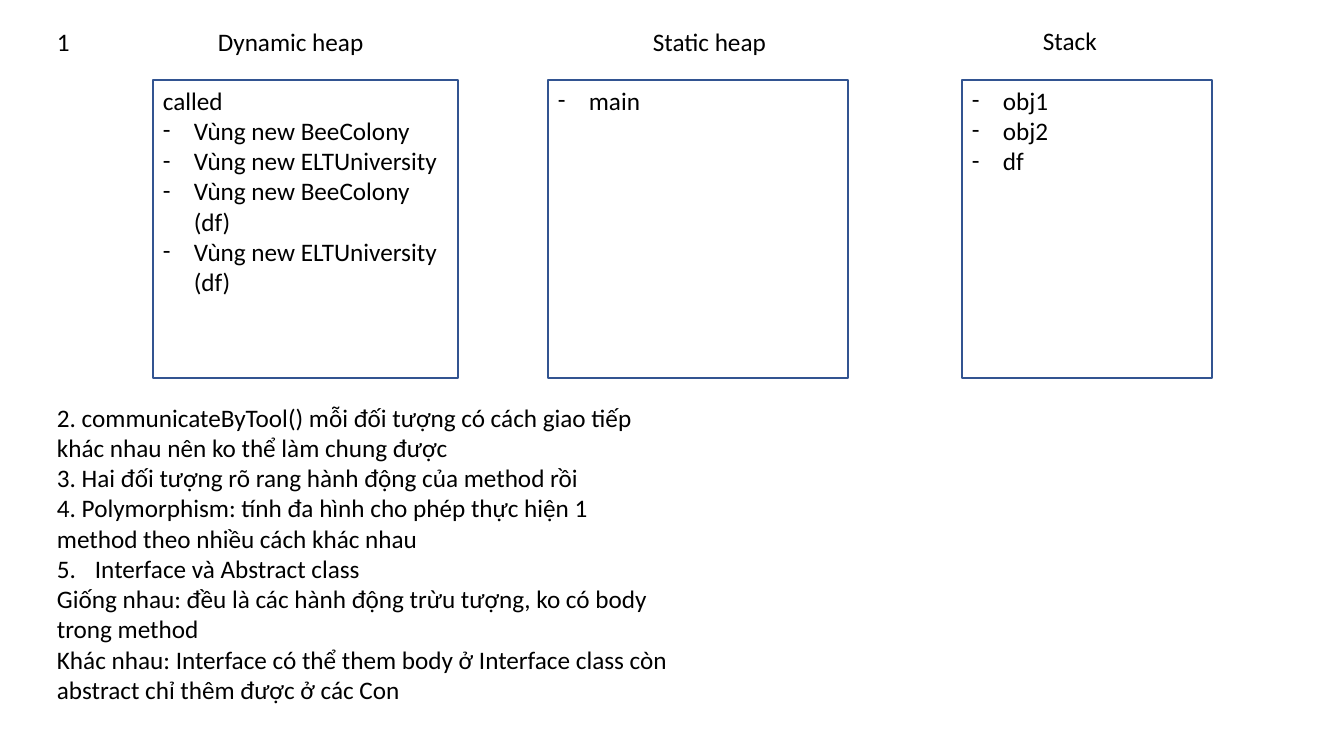
from lxml.etree import SubElement
from pptx import Presentation
from pptx.dml.color import RGBColor
from pptx.enum.shapes import MSO_SHAPE
from pptx.enum.text import MSO_AUTO_SIZE
from pptx.oxml.ns import qn
from pptx.util import Pt

COLORS = {"text": "000000", "border": "325491"}
DASH = ("buChar", {"char": "-"}, 31)
FIFTH = ("buAutoNum", {"type": "arabicPeriod", "startAt": "5"}, 38)

MEMORY_AREAS = [
    {"title": "Dynamic heap", "title_box": (208, 21, 167, 40),
     "left": 153, "width": 305, "height": 224, "heading": ["called"],
     "items": ["Vùng new BeeColony", "Vùng new ELTUniversity",
               "Vùng new BeeColony (df)", "Vùng new ELTUniversity (df)"]},
    {"title": "Static heap", "title_box": (643, 21, 135, 40),
     "left": 548, "width": 300, "height": 40, "heading": [],
     "items": ["main"]},
    {"title": "Stack", "title_box": (1033, 20, 75, 40),
     "left": 962, "width": 250, "height": 102, "heading": [],
     "items": ["obj1", "obj2", "df"]},
]
AREA_TOP, AREA_HEIGHT = 80, 298

ANSWERS = [
    ("2. communicateByTool() mỗi đối tượng có cách giao tiếp khác nhau nên ko thể làm chung được", None),
    ("3. Hai đối tượng rõ rang hành động của method rồi", None),
    ("4. Polymorphism: tính đa hình cho phép thực hiện 1 method theo nhiều cách khác nhau", None),
    ("Interface và Abstract class", FIFTH),
    ("Giống nhau: đều là các hành động trừu tượng, ko có body trong method", None),
    ("Khác nhau: Interface có thể them body ở Interface class còn abstract chỉ thêm được ở các Con", None),
]


class SlideBuilder:
    font = "Calibri"
    size = Pt(18)
    emu_per_px = 914400 / 100.8

    def __init__(self, prs, width, height):
        prs.slide_width, prs.slide_height = self.px(width, height)
        self.slide = prs.slides.add_slide(prs.slide_layouts[6])

    def px(self, *lengths):
        return [round(n * self.emu_per_px) for n in lengths]

    def frame(self, *box):
        sp = self.slide.shapes.add_shape(MSO_SHAPE.RECTANGLE, *self.px(*box))
        sp.shadow.inherit = False
        sp.fill.background()
        sp.line.color.rgb = RGBColor.from_string(COLORS["border"])
        sp.line.width = Pt(1)

    def text(self, box, paragraphs, wrap=True):
        tf = self.slide.shapes.add_textbox(*self.px(*box)).text_frame
        tf.word_wrap = wrap
        tf.auto_size = MSO_AUTO_SIZE.SHAPE_TO_FIT_TEXT
        tf.text = "\n".join(text for text, _ in paragraphs)
        for p, (_, bullet) in zip(tf.paragraphs, paragraphs):
            for r in p.runs:
                r.font.name = self.font
                r.font.size = self.size
                r.font.color.rgb = RGBColor.from_string(COLORS["text"])
            if bullet:
                self.bullet(p, *bullet)

    def bullet(self, p, tag, attributes, indent):
        pPr = p._p.get_or_add_pPr()
        margin, = self.px(indent)
        pPr.set("marL", str(margin))
        pPr.set("indent", str(-margin))
        SubElement(pPr, qn("a:buFont"), typeface=self.font)
        SubElement(pPr, qn(f"a:{tag}"), attributes)


def main():
    prs = Presentation()
    s = SlideBuilder(prs, 1344, 756)
    for area in MEMORY_AREAS:
        left, width = area["left"], area["width"]
        s.frame(left, AREA_TOP, width, AREA_HEIGHT)
        s.text(area["title_box"], [(area["title"], None)], wrap=False)
        lines = [(text, None) for text in area["heading"]]
        lines += [(text, DASH) for text in area["items"]]
        s.text((left, AREA_TOP, width, area["height"]), lines)
    s.text((47, 397, 637, 315), ANSWERS)
    s.text((47, 21, 67, 40), [("1", None)])
    prs.save("out.pptx")


if __name__ == "__main__":
    main()
